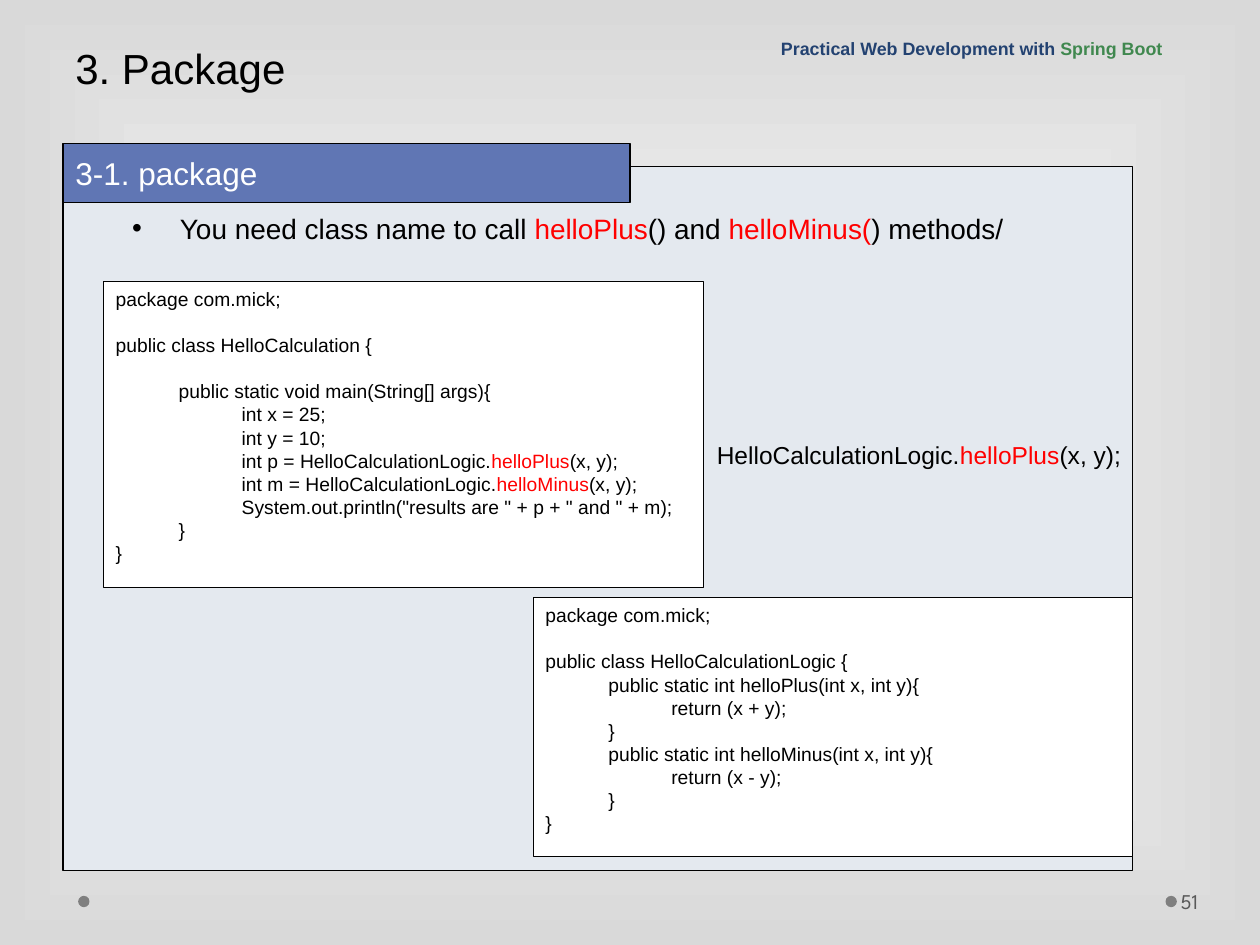
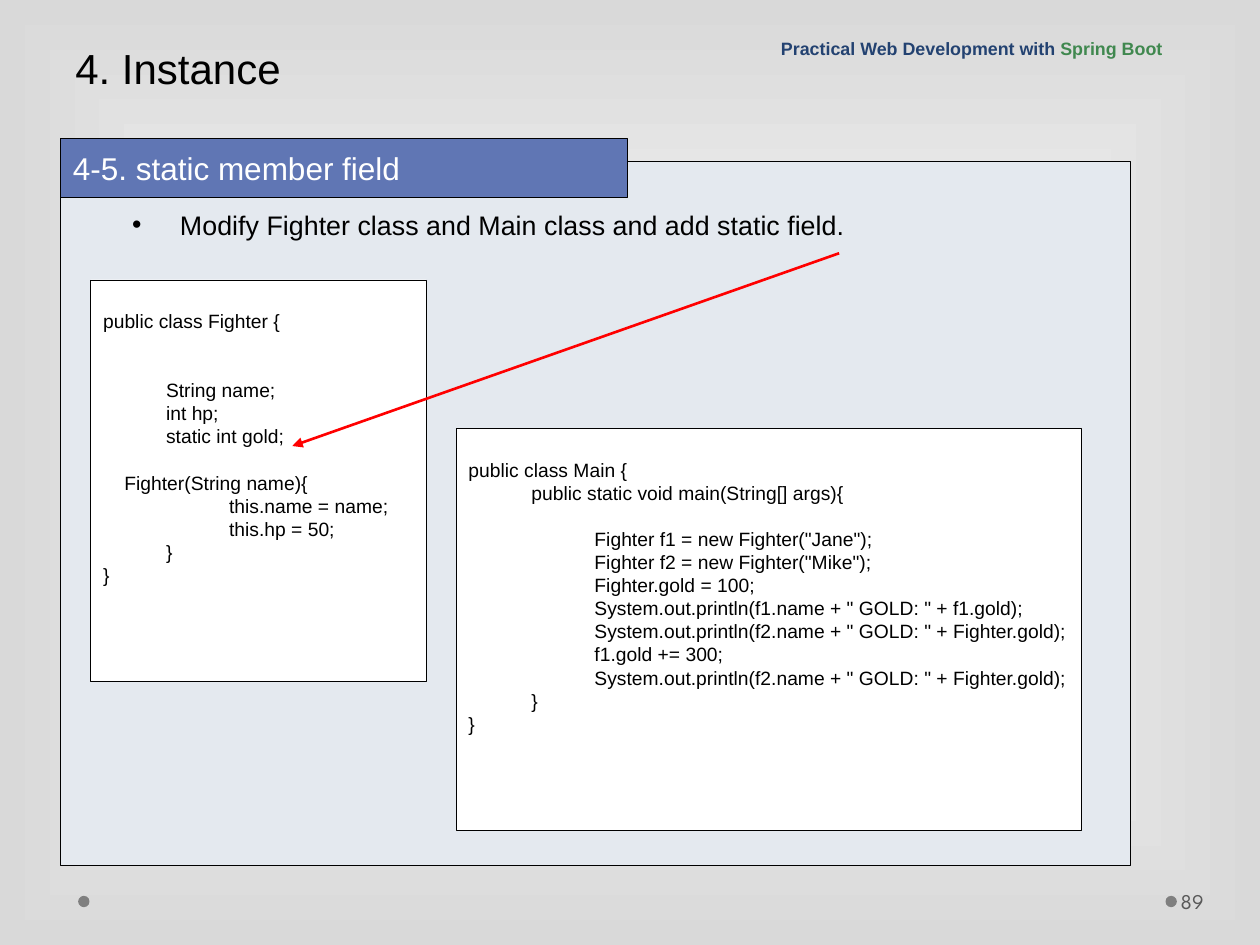
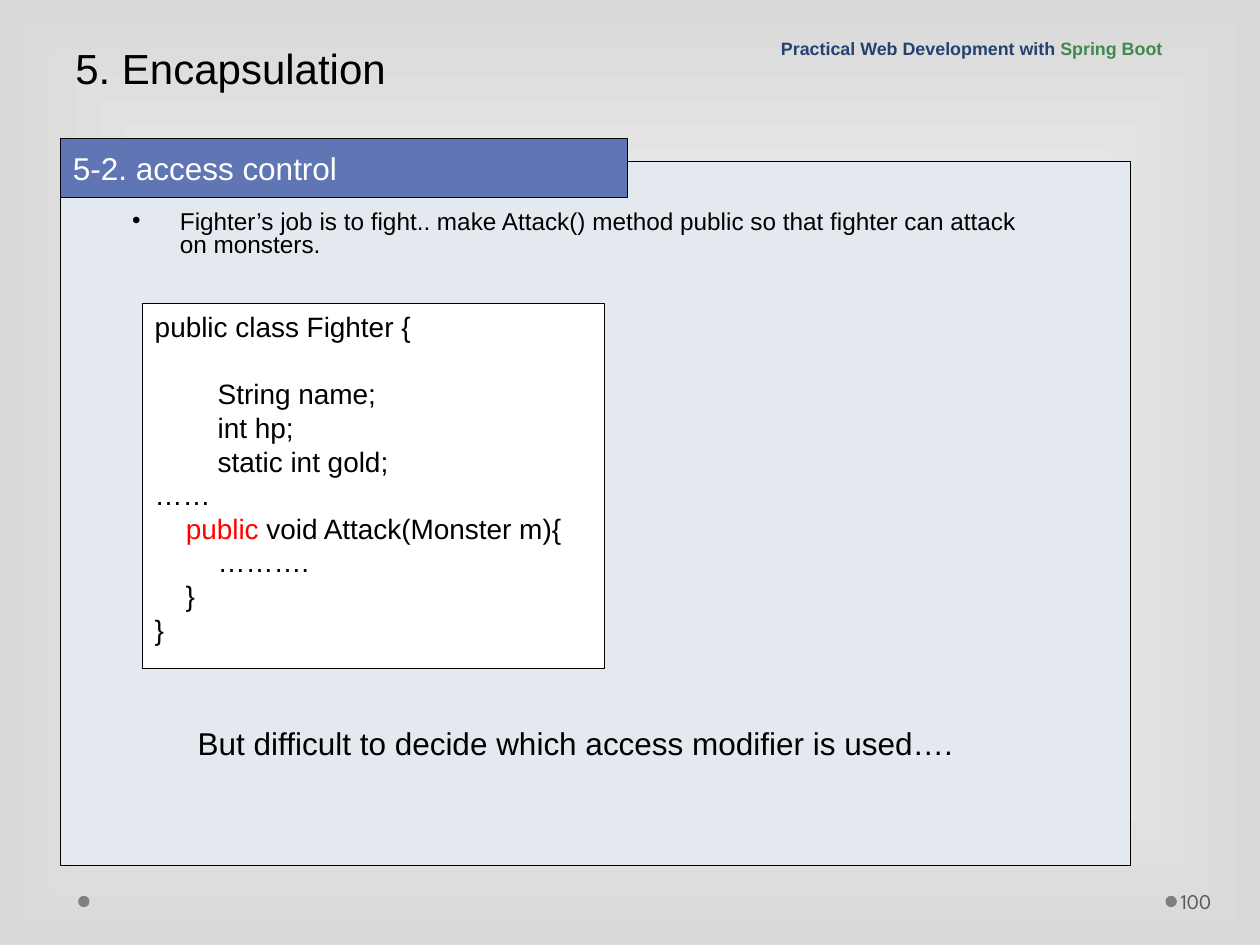
from dataclasses import dataclass
from itertools import cycle

from lxml import etree
from pptx import Presentation
from pptx.dml.color import RGBColor
from pptx.enum.shapes import MSO_CONNECTOR, MSO_SHAPE
from pptx.enum.text import MSO_ANCHOR, PP_ALIGN
from pptx.oxml.ns import qn
from pptx.util import Inches, Pt

RECTANGLE, OVAL = MSO_SHAPE.RECTANGLE, MSO_SHAPE.OVAL
STRAIGHT = MSO_CONNECTOR.STRAIGHT
TOP, MIDDLE, BOTTOM = MSO_ANCHOR.TOP, MSO_ANCHOR.MIDDLE, MSO_ANCHOR.BOTTOM
LEFT = PP_ALIGN.LEFT

BLACK, WHITE, RED = "000000", "FFFFFF", "FF0000"
NAVY, GREEN = "234271", "40884F"
BAND_BLUE, PANEL_BLUE = "6076B4", "E4E9EF"
EDGE_GREY, DOT_GREY, NUMBER_GREY = "D9D9D9", "7F7F7F", "595959"
BODY_FONT, NUMBER_FONT = "Arial", "League Spartan"

# The slide is a grid of square cells
COLUMNS, ROWS, CELL = 100, 75, 0.1
LINE_HEIGHT = 1.2


@dataclass
class Box:
    """An area measured in grid cells."""
    left: float
    top: float
    width: float
    height: float

    def inside(self, left, top, width, height):
        return Box(self.left + left, self.top + top, width, height)

    def lengths(self):
        return [cells(n) for n in (self.left, self.top, self.width, self.height)]


SLIDE = Box(0, 0, COLUMNS, ROWS)


def cells(count):
    return Inches(round(count * CELL, 2))


def colour(hex_string):
    return RGBColor.from_string(hex_string)


def add_child(parent, tag, **attributes):
    child = etree.SubElement(parent, qn(tag))
    for name, value in attributes.items():
        child.set(name, str(value))
    return child


# Text

def write(para, marked, size, colours=(BLACK, RED), font=BODY_FONT, bold=False, spacing=1):
    """Fill a paragraph; each | in the text switches to the next colour."""
    para.alignment = LEFT
    para.line_spacing = Pt(round(size * LINE_HEIGHT * spacing, 2))
    for piece, hex_string in zip(marked.split("|"), cycle(colours)):
        if piece:
            span = para.add_run()
            span.text = piece
            span.font.size = Pt(size)
            span.font.name = font
            span.font.bold = bold
            span.font.color.rgb = colour(hex_string)


def set_frame(frame, anchor=TOP, left=0.1, right=0.1):
    frame.word_wrap = True
    frame.vertical_anchor = anchor
    frame.margin_left, frame.margin_right = Inches(left), Inches(right)
    frame.margin_top = frame.margin_bottom = Inches(0.05)


def add_text(page, box, marked, size, anchor=TOP, left=0.1, right=0.1, **style):
    frame = page.shapes.add_textbox(*box.lengths()).text_frame
    set_frame(frame, anchor, left, right)
    write(frame.paragraphs[0], marked, size, **style)


def add_bullet(page, box, marked, size, spacing=1):
    frame = page.shapes.add_textbox(*box.lengths()).text_frame
    set_frame(frame)
    para = frame.paragraphs[0]
    properties = para._p.get_or_add_pPr()
    properties.set("marL", str(Inches(0.38)))
    properties.set("indent", str(-Inches(0.38)))
    add_child(add_child(properties, "a:buClr"), "a:srgbClr", val=BLACK)
    add_child(properties, "a:buFont", typeface=BODY_FONT)
    add_child(properties, "a:buChar", char="•")
    write(para, marked, size, spacing=spacing)


# Shapes

def add_plain(page, box, fill, line=None, kind=RECTANGLE):
    shape = page.shapes.add_shape(kind, *box.lengths())
    shape.shadow.inherit = False
    shape.fill.solid()
    shape.fill.fore_color.rgb = colour(fill)
    if line:
        shape.line.color.rgb = colour(BLACK)
        shape.line.width = Pt(line)
    else:
        shape.line.fill.background()
    return shape


def add_code(page, box, code, size=11, top_lines=0):
    """A white listing; empty lines become space before the next line."""
    frame = add_plain(page, box, WHITE, 0.25).text_frame
    set_frame(frame, right=0)
    line_height = size * LINE_HEIGHT
    frame.margin_top += Pt(line_height * top_lines)
    gap, para = 0, None
    for line in code.splitlines():
        if not line:
            gap += line_height
            continue
        para = frame.add_paragraph() if para else frame.paragraphs[0]
        stops = add_child(para._p.get_or_add_pPr(), "a:tabLst")
        for step in range(1, 8):
            add_child(stops, "a:tab", pos=Inches(step / 2), algn="l")
        if gap:
            para.space_before = Pt(round(gap, 2))
        write(para, line, size)
        gap = 0


def add_arrow(page, start, end):
    points = [cells(n) for n in (*start, *end)]
    arrow = page.shapes.add_connector(STRAIGHT, *points)
    arrow.line.color.rgb = colour(RED)
    arrow.line.width = Pt(1.5)
    add_child(arrow.line._get_or_add_ln(), "a:tailEnd", type="triangle")
    add_child(arrow._element.spPr, "a:effectLst")


# Shared parts

def set_background(deck):
    master = deck.slide_master
    fill = master.background.fill
    fill.gradient()
    for stop, hex_string, position in zip(fill.gradient_stops, (WHITE, EDGE_GREY), (0, 1)):
        stop.color.rgb = colour(hex_string)
        stop.position = position
    gradient = master._element.find(".//" + qn("a:gradFill"))
    gradient.remove(gradient.find(qn("a:lin")))
    route = add_child(gradient, "a:path", path="rect")
    add_child(route, "a:fillToRect", l=50000, t=50000, r=50000, b=50000)


def add_page(deck, title, heading, number, panel):
    page = deck.slides.add_slide(deck.slide_layouts[6])
    # Footer dots and page number
    for left in (92.5, 6.2):
        add_plain(page, SLIDE.inside(left, 71.1, 0.9, 0.9), DOT_GREY, kind=OVAL)
    add_plain(page, panel, PANEL_BLUE, 0.75)
    add_text(page, SLIDE.inside(93.4, 69.5, 6.1, 4), number, 12, MIDDLE, left=0.03,
             right=0.05, colours=(NUMBER_GREY,), font=NUMBER_FONT)
    # Title and course name
    add_text(page, SLIDE.inside(5, 0, 90, 7.9), title, 24, BOTTOM)
    add_text(page, SLIDE.inside(61, 2.4, 39, 2.8),
             "Practical Web Development with |Spring Boot", 10.2, BOTTOM,
             colours=(NAVY, GREEN), bold=True, spacing=0.9)
    # Heading band over the top edge of the panel
    band = add_plain(page, panel.inside(0, -1.8, 45, 4.7), BAND_BLUE, 0.75)
    set_frame(band.text_frame, MIDDLE)
    write(band.text_frame.paragraphs[0], heading, 18, colours=(WHITE,))
    return page


# Slides

CALCULATION_CODE = """package com.mick;

public class HelloCalculation {

\tpublic static void main(String[] args){
\t\tint x = 25;
\t\tint y = 10;
\t\tint p = HelloCalculationLogic.|helloPlus|(x, y);
\t\tint m = HelloCalculationLogic.|helloMinus|(x, y);
\t\tSystem.out.println("results are " + p + " and " + m);
\t}
}"""

LOGIC_CODE = """package com.mick;

public class HelloCalculationLogic {
\tpublic static int helloPlus(int x, int y){
\t\treturn (x + y);
\t}
\tpublic static int helloMinus(int x, int y){
\t\treturn (x - y);
\t}
}"""

FIGHTER_CODE = """public class Fighter {


\tString name;
\tint hp;
\tstatic int gold;

    Fighter(String name){
\t\tthis.name = name;
\t\tthis.hp = 50;
\t}
}"""

MAIN_CODE = """public class Main {
\tpublic static void main(String[] args){

\t\tFighter f1 = new Fighter("Jane");
\t\tFighter f2 = new Fighter("Mike");
\t\tFighter.gold = 100;
\t\tSystem.out.println(f1.name + " GOLD: " + f1.gold);
\t\tSystem.out.println(f2.name + " GOLD: " + Fighter.gold);
\t\tf1.gold += 300;
\t\tSystem.out.println(f2.name + " GOLD: " + Fighter.gold);
\t}
}"""

ATTACK_CODE = """public class Fighter {

\tString name;
\tint hp;
\tstatic int gold;
……
    |public| void Attack(Monster m){
\t……….
    }
}"""


def add_package_slide(deck, panel):
    page = add_page(deck, "3. Package", "3-1. package", "51", panel)
    add_bullet(page, panel.inside(4.5, 3.1, 75.2, 5.9),
               "You need class name to call |helloPlus|() and |helloMinus(|) methods/", 16)
    add_code(page, panel.inside(3.2, 9.1, 47.6, 24.3), CALCULATION_CODE)
    add_code(page, panel.inside(37.3, 34.2, 47.6, 20.6), LOGIC_CODE)
    add_text(page, panel.inside(50.9, 21.2, 34.1, 3.4),
             "HelloCalculationLogic.|helloPlus|(x, y);", 14, right=0)


def add_instance_slide(deck, panel):
    page = add_page(deck, "4. Instance", "4-5. static member field", "89", panel)
    add_bullet(page, panel.inside(4.7, 3.5, 70.5, 3.8),
               "Modify Fighter class and Main class and add static field.", 15.3, 0.9)
    add_code(page, panel.inside(2.4, 9.4, 26.6, 31.9), FIGHTER_CODE, top_lines=1)
    add_code(page, panel.inside(31.4, 21.2, 49.6, 31.9), MAIN_CODE, top_lines=1)
    # Arrow from the sentence to the static field
    add_arrow(page, (panel.left + 61.8, panel.top + 7.3),
              (panel.left + 18.4, panel.top + 22.6))


def add_encapsulation_slide(deck, panel):
    page = add_page(deck, "5. Encapsulation", "5-2. access control", "100", panel)
    add_bullet(page, panel.inside(4.7, 3.5, 74.6, 5.7),
               "Fighter’s job is to fight.. make Attack() method public "
               "so that fighter can attack on monsters.", 13.9, 0.8)
    add_code(page, panel.inside(6.5, 11.3, 36.7, 28.9), ATTACK_CODE, size=16)
    add_text(page, panel.inside(9.9, 44.2, 66.9, 4),
             "But difficult to decide which access modifier is used….", 18)


def main():
    deck = Presentation()
    deck.slide_width, deck.slide_height = cells(COLUMNS), cells(ROWS)
    set_background(deck)
    add_package_slide(deck, SLIDE.inside(5, 13.2, 84.9, 55.9))
    upper_panel = SLIDE.inside(4.8, 12.8, 84.9, 55.9)
    add_instance_slide(deck, upper_panel)
    add_encapsulation_slide(deck, upper_panel)
    deck.save("out.pptx")


if __name__ == "__main__":
    main()
